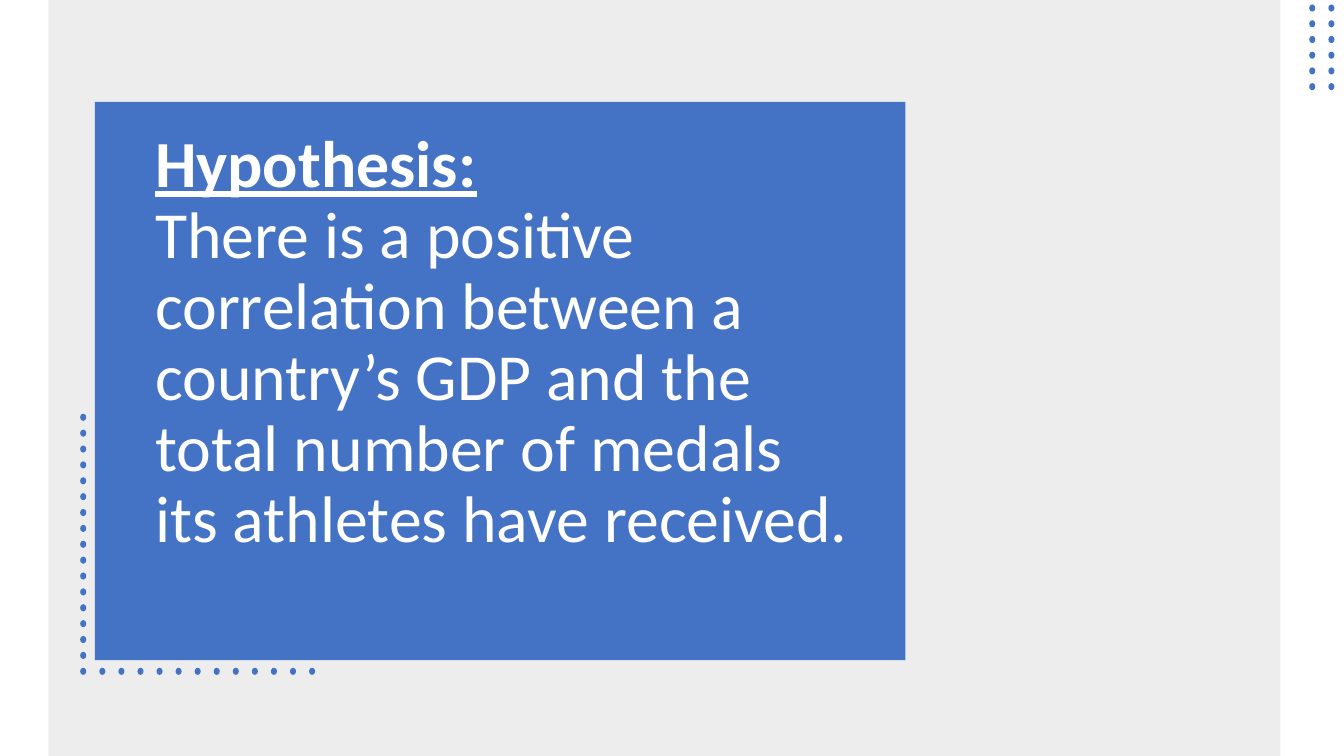
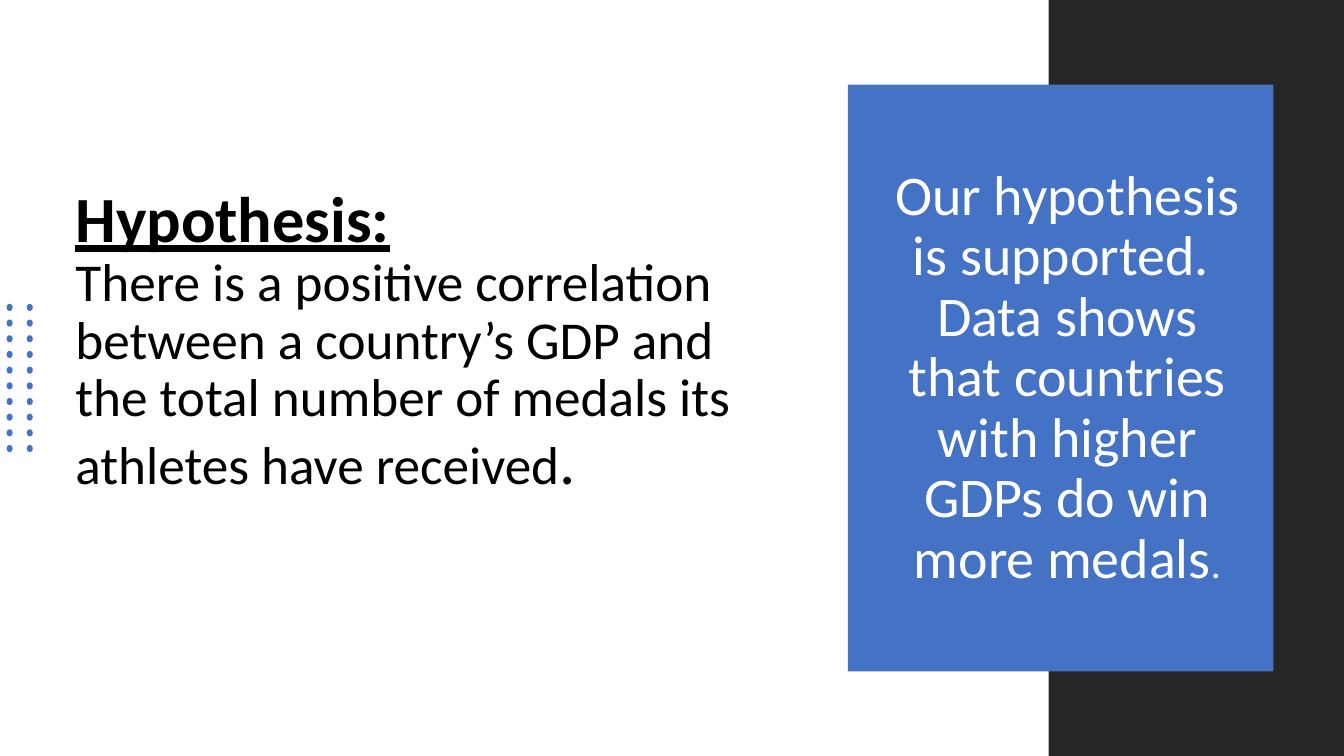
from dataclasses import dataclass

from lxml import etree
from pptx import Presentation
from pptx.dml.color import RGBColor
from pptx.enum.shapes import MSO_SHAPE
from pptx.enum.text import MSO_ANCHOR, PP_ALIGN
from pptx.oxml.ns import qn
from pptx.util import Inches, Pt

RECT, OVAL = MSO_SHAPE.RECTANGLE, MSO_SHAPE.OVAL
MIDDLE = MSO_ANCHOR.MIDDLE
LEFT, CENTER = PP_ALIGN.LEFT, PP_ALIGN.CENTER


@dataclass(frozen=True)
class Theme:
    font: str = "Calibri"
    blue: str = "4472C4"
    band: str = "D8D8D8"
    dark: str = "262626"
    white: str = "FFFFFF"
    black: str = "000000"
    large: int = 47
    heading: int = 46
    conclusion: int = 40
    body: int = 38
    small: int = 28
    spacing: float = 0.9


T = Theme()

HEADING = "Hypothesis:"
HYPOTHESIS = ("There is a positive correlation between a country’s GDP and "
              "the total number of medals its athletes have received")
CONCLUSION = ("Our hypothesis is supported.  Data shows that countries "
              "with higher GDPs do win more medals")

SLIDES = [
    {
        "shapes": [
            ("rect", (0.48, 0, 12.22, 7.5), T.band, 45),
            ("dots", [(0.79, 0.79, 1, 4.11, 6.63, 17),
                      (0.98, 3.06, 12, 6.63, 6.63, 1)]),
            ("rect", (0.94, 1.01, 8.04, 5.54), T.blue, 100),
            ("dots", [(12.98, 13.17, 2, 0.05, 0.83, 6)]),
        ],
        "texts": [
            ((1.44, 1.23, 7.09, 5.08),
             [[(HEADING, T.large, True)], [(HYPOTHESIS + ".", T.large, False)]],
             {"color": T.white, "bottom": 0.77}),
        ],
    },
    {
        "shapes": [
            ("rect", (10.4, 0, 2.93, 7.5), T.dark, 100),
            ("rect", (8.41, 0.84, 4.22, 5.82), T.blue, 100),
            ("dots", [(0.06, 0.26, 2, 3.02, 4.42, 10)]),
        ],
        "texts": [
            ((0.65, 1.09, 7.07, 5.31),
             [[(HEADING, T.heading, True)],
              [(HYPOTHESIS, T.body, False), (".", T.heading, False)]],
             {"color": T.black, "bottom": 0.75}),
            ((8.73, 1.1, 3.71, 5.31),
             [[(CONCLUSION, T.conclusion, False), (".", T.small, False)]],
             {"color": T.white, "align": CENTER}),
        ],
    },
]


def add_filled(shapes, kind, box, color, opacity=100):
    sp = shapes.add_shape(kind, *map(Inches, box))
    sp.shadow.inherit = False
    sp.fill.solid()
    sp.fill.fore_color.rgb = RGBColor.from_string(color)
    sp.line.fill.background()
    if opacity < 100:
        clr = sp.fill._xPr.find(".//" + qn("a:srgbClr"))
        etree.SubElement(clr, qn("a:alpha"), val=str(opacity * 1000))
    return sp


def spread(start, end, count):
    step = (end - start) / max(count - 1, 1)
    return [start + i * step for i in range(count)]


def add_dots(s, grids):
    group = s.shapes.add_group_shape()
    for x0, x1, cols, y0, y1, rows in grids:
        for y in spread(y0, y1, rows):
            for x in spread(x0, x1, cols):
                dot = add_filled(group.shapes, OVAL, (x, y, 0.07, 0.06), T.blue)
                dot.rotation = 90


def add_text(s, box, lines, color, align=LEFT, bottom=0.05):
    tf = s.shapes.add_textbox(*map(Inches, box)).text_frame
    tf.word_wrap = True
    tf.vertical_anchor = MIDDLE
    tf.margin_bottom = Inches(bottom)
    p = tf.paragraphs[0]
    p.alignment = align
    p.line_spacing = T.spacing
    for i, runs in enumerate(lines):
        if i:
            p.add_line_break()
        for text, size, strong in runs:
            r = p.add_run()
            r.text = text
            r.font.name = T.font
            r.font.size = Pt(size)
            r.font.bold = r.font.underline = strong
            r.font.color.rgb = RGBColor.from_string(color)


def main():
    prs = Presentation()
    prs.slide_width, prs.slide_height = Inches(13.33), Inches(7.5)
    for content in SLIDES:
        s = prs.slides.add_slide(prs.slide_layouts[6])
        for kind, *details in content["shapes"]:
            if kind == "dots":
                add_dots(s, *details)
            else:
                add_filled(s.shapes, RECT, *details)
        for box, lines, style in content["texts"]:
            add_text(s, box, lines, **style)
    prs.save("out.pptx")


if __name__ == "__main__":
    main()
